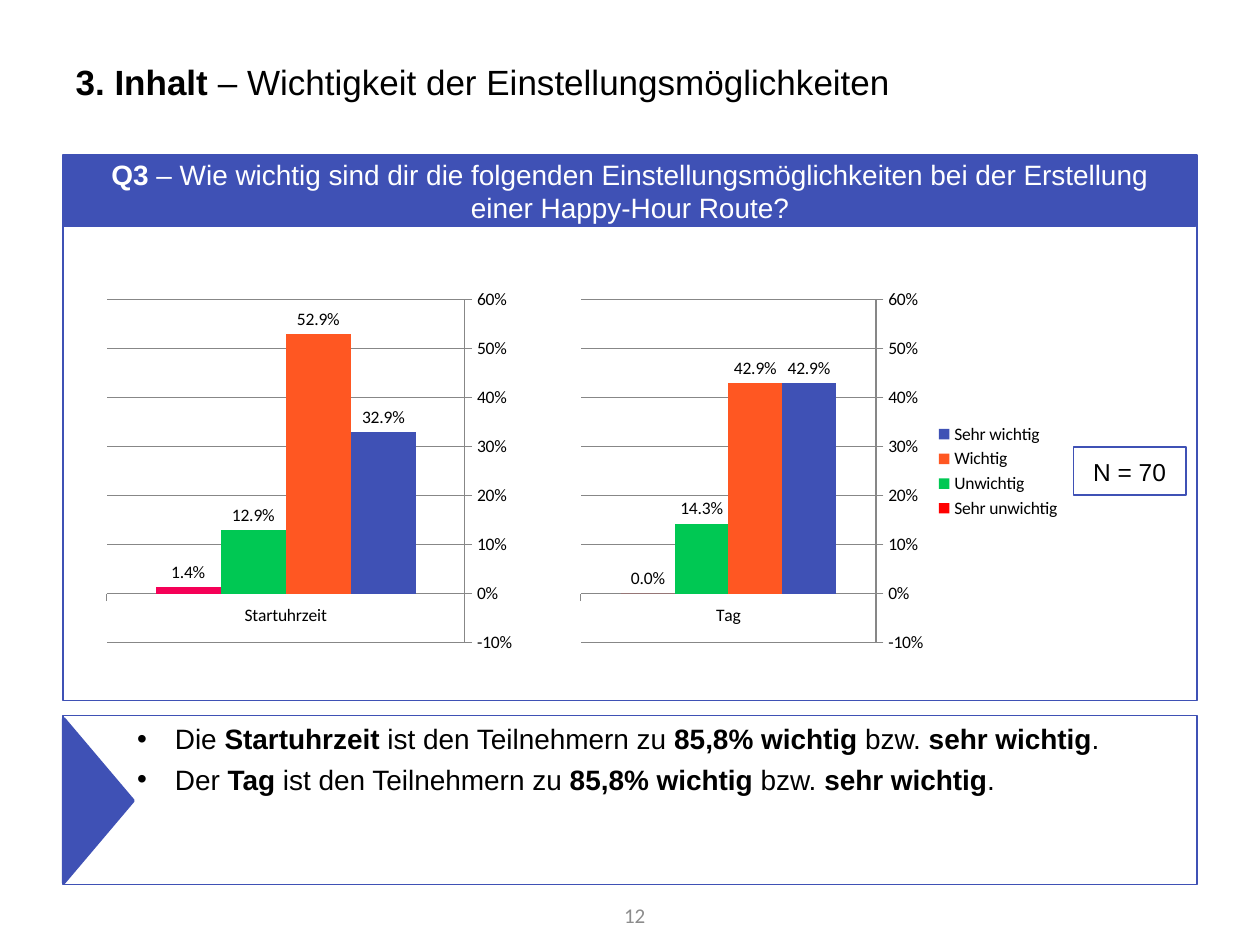
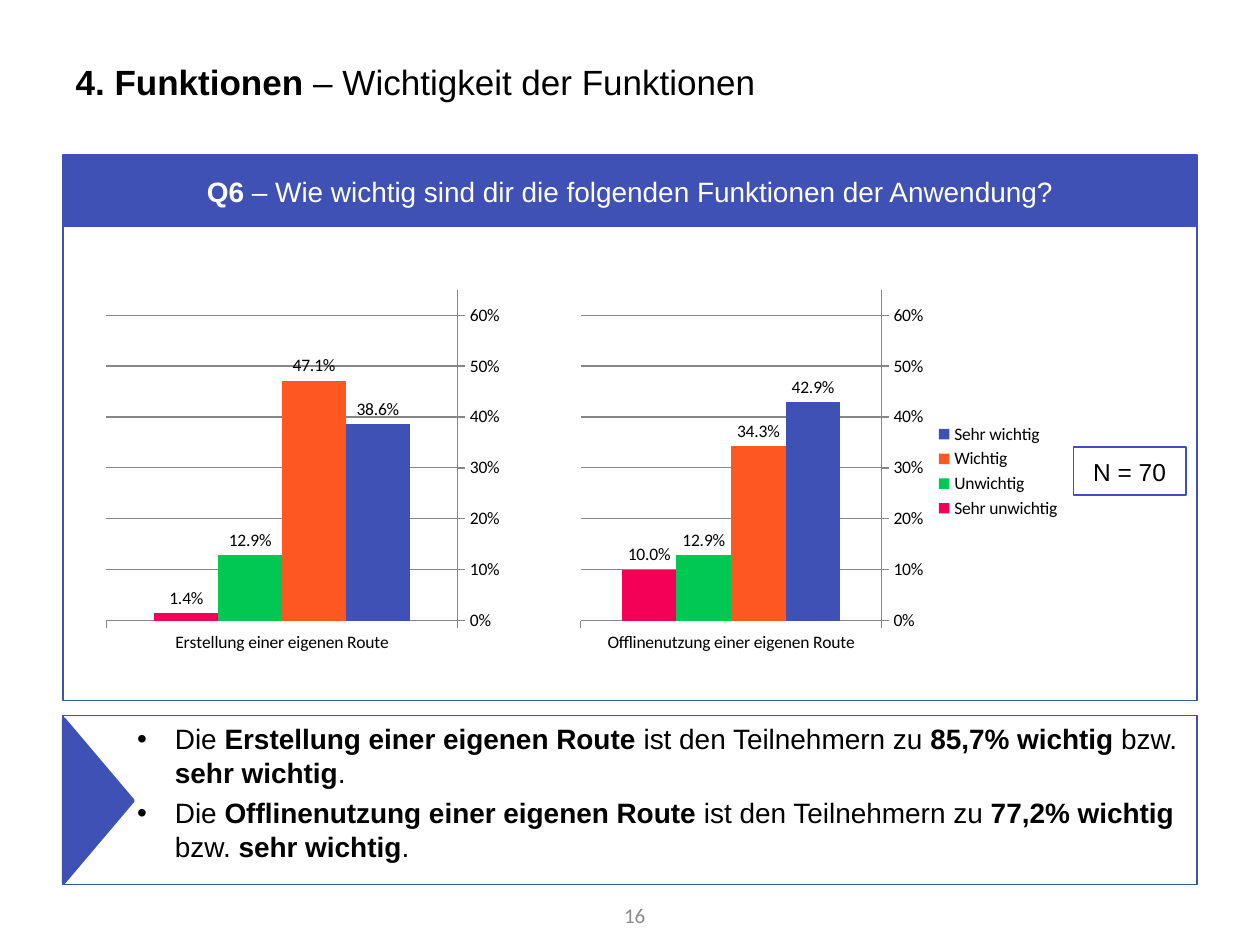
"""Build two survey result slides with paired column charts."""
import lxml.etree
import pptx
import pptx.chart.data
import pptx.dml.color
import pptx.enum.chart
import pptx.enum.shapes
import pptx.enum.text
import pptx.oxml.ns
import pptx.util

Inches = pptx.util.Inches
Pt = pptx.util.Pt
SHAPES = pptx.enum.shapes.MSO_SHAPE
ALIGN = pptx.enum.text.PP_ALIGN
ANCHOR = pptx.enum.text.MSO_ANCHOR

BLUE, ORANGE, GREEN, PINK, RED = "3F51B5", "FF5722", "00C853", "F50057", "FF0000"
BLACK, WHITE, GRAY, AXIS_GRAY = "000000", "FFFFFF", "8C8C8C", "878787"
ANSWERS = ["Sehr wichtig", "Wichtig", "Unwichtig", "Sehr unwichtig"]


def colour(value):
    return pptx.dml.color.RGBColor.from_string(value)


class SurveyPage:
    def __init__(self, deck):
        self.page = deck.slides.add_slide(deck.slide_layouts[5])
        self.shapes = self.page.shapes

    def set_text(self, paragraph, text, size, hue=BLACK, align=ALIGN.LEFT, font="Arial"):
        paragraph.alignment = align
        paragraph.font.name = font
        paragraph.font.size = Pt(size)
        paragraph.font.color.rgb = colour(hue)
        for index, part in enumerate(text.split("**")):
            if part:
                span = paragraph.add_run()
                span.text = part
                span.font.bold = index % 2 == 1

    def title(self, text):
        box = self.shapes.title
        box.left, box.top, box.width, box.height = map(Inches, (0.5, 0.3, 9, 0.69))
        frame = box.text_frame
        frame.auto_size = pptx.enum.text.MSO_AUTO_SIZE.NONE
        frame.vertical_anchor = ANCHOR.MIDDLE
        self.set_text(frame.paragraphs[0], text, 20)

    def shape(self, place, fill=None, line_width=1, kind=SHAPES.RECTANGLE):
        box = self.shapes.add_shape(kind, *map(Inches, place))
        box.shadow.inherit = False
        box.line.color.rgb = colour(BLUE)
        box.line.width = Pt(line_width)
        if fill:
            box.fill.solid()
            box.fill.fore_color.rgb = colour(fill)
        else:
            box.fill.background()
        return box

    def label(self, place, text, size, hue=BLACK, **style):
        box = self.shape(place, **style)
        box.text_frame.word_wrap = True
        box.text_frame.vertical_anchor = ANCHOR.MIDDLE
        self.set_text(box.text_frame.paragraphs[0], text, size, hue, ALIGN.CENTER)

    def findings(self, lines):
        frame = self.shape((0.5, 5.68, 9, 1.34)).text_frame
        frame.word_wrap = True
        frame.vertical_anchor = ANCHOR.TOP
        for index, line in enumerate(lines):
            para = frame.add_paragraph() if index else frame.paragraphs[0]
            para.space_before = Pt(4 if index else 0)
            properties = para._p.get_or_add_pPr()
            properties.set("marL", str(Inches(0.79)))
            properties.set("indent", str(Inches(-0.3)))
            for tag, key, value in (("a:buFont", "typeface", "Arial"), ("a:buChar", "char", "•")):
                lxml.etree.SubElement(properties, pptx.oxml.ns.qn(tag)).set(key, value)
            self.set_text(para, line, 16)
        arrow = self.shape((0.13, 6.08, 1.3, 0.55), BLUE, 2, SHAPES.ISOSCELES_TRIANGLE)
        arrow.rotation = 90

    def number(self, text):
        box = self.shapes.add_textbox(*map(Inches, (4.59, 7.06, 0.63, 0.4)))
        box.text_frame.word_wrap = True
        box.text_frame.vertical_anchor = ANCHOR.MIDDLE
        self.set_text(box.text_frame.paragraphs[0], text, 12, GRAY, ALIGN.RIGHT, "Calibri")

    def chart(self, left, width, topic, values, scale, last_colour=PINK, legend=False):
        data = pptx.chart.data.CategoryChartData(number_format="0.0%")
        data.categories = [topic]
        for answer, value in zip(ANSWERS, values):
            data.add_series(answer, [value])
        kinds = pptx.enum.chart
        chart = self.shapes.add_chart(
            kinds.XL_CHART_TYPE.COLUMN_CLUSTERED,
            *map(Inches, (left, 2.24, width, 3)), data).chart
        chart.has_title = False
        chart.font.name = "Calibri"
        chart.font.size = Pt(10)
        chart.font.color.rgb = colour(BLACK)
        chart.has_legend = legend
        if legend:
            chart.legend.position = kinds.XL_LEGEND_POSITION.RIGHT
            chart.legend.include_in_layout = False

        plot = chart.plots[0]
        plot.gap_width = 150
        plot.vary_by_categories = False
        plot.has_data_labels = True
        plot.data_labels.show_value = True
        plot.data_labels.number_format = "0.0%"
        plot.data_labels.number_format_is_linked = False
        plot.data_labels.position = kinds.XL_LABEL_POSITION.OUTSIDE_END
        for series, hue in zip(plot.series, (BLUE, ORANGE, GREEN, last_colour)):
            series.invert_if_negative = False
            series.format.fill.solid()
            series.format.fill.fore_color.rgb = colour(hue)

        axis = chart.value_axis
        axis.minimum_scale, axis.maximum_scale = scale
        axis.major_unit = 0.1
        axis.tick_labels.number_format = "0%"
        axis.tick_labels.number_format_is_linked = False
        axis.has_major_gridlines = True
        chart.category_axis.reverse_order = True
        for each in (axis, chart.category_axis):
            each.major_tick_mark = kinds.XL_TICK_MARK.OUTSIDE
        for part in (axis, chart.category_axis, axis.major_gridlines):
            part.format.line.color.rgb = colour(AXIS_GRAY)
            part.format.line.width = Pt(0.75)


def build_survey_page(deck, number, title, question, scale, topics, left_width, last_colour):
    page = SurveyPage(deck)
    page.title(title)
    page.findings(
        f"{article} **{topic}** ist den Teilnehmern zu **{share} wichtig** bzw. **sehr wichtig**."
        for article, topic, share, values in topics)
    page.shape((0.5, 1.23, 9, 4.33))
    page.label((0.51, 1.24, 8.98, 0.55), question, 16, WHITE, fill=BLUE, line_width=2)
    page.label((8.52, 3.55, 0.89, 0.38), "N = 70", 14)
    page.number(number)
    (_, left_topic, _, left_values), (_, right_topic, _, right_values) = topics
    page.chart(0.78, left_width, left_topic, left_values, scale)
    page.chart(4.53, 3.99, right_topic, right_values, scale, last_colour, legend=True)


def main():
    deck = pptx.Presentation()
    deck.slide_width, deck.slide_height = Inches(10), Inches(7.5)
    build_survey_page(
        deck, "12", "**3. Inhalt** – Wichtigkeit der Einstellungsmöglichkeiten",
        "**Q3** – Wie wichtig sind dir die folgenden Einstellungsmöglichkeiten "
        "bei der Erstellung einer Happy-Hour Route?",
        (-0.1, 0.6),
        [("Die", "Startuhrzeit", "85,8%", (0.329, 0.529, 0.129, 0.014)),
         ("Der", "Tag", "85,8%", (0.429, 0.429, 0.143, 0))],
        3.35, RED)
    build_survey_page(
        deck, "16", "**4. Funktionen** – Wichtigkeit der Funktionen",
        "**Q6** – Wie wichtig sind dir die folgenden Funktionen der Anwendung?",
        (0, 0.65),
        [("Die", "Erstellung einer eigenen Route", "85,7%", (0.386, 0.471, 0.129, 0.014)),
         ("Die", "Offlinenutzung einer eigenen Route", "77,2%", (0.429, 0.343, 0.129, 0.1))],
        3.25, PINK)
    deck.save("out.pptx")


if __name__ == "__main__":
    main()
